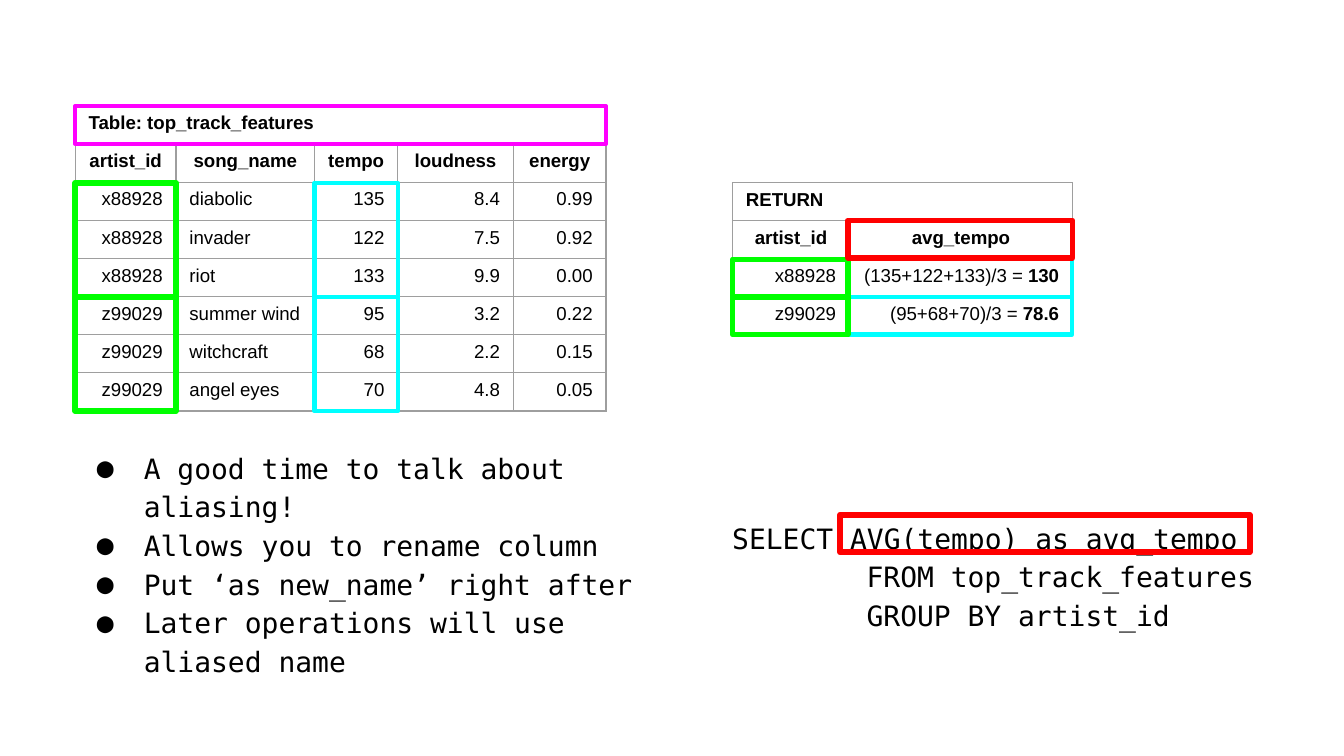
"""Build a slide that shows SQL column aliasing with two tables and a query."""
from dataclasses import dataclass

from lxml.etree import SubElement
from pptx import Presentation
from pptx.dml.color import RGBColor
from pptx.enum.shapes import MSO_SHAPE as SHAPE
from pptx.enum.text import PP_ALIGN as ALIGN
from pptx.oxml.ns import qn
from pptx.util import Inches, Pt

BLACK, WHITE, GREY = "000000", "FFFFFF", "9E9E9E"
CYAN, GREEN, MAGENTA, RED = "00FFFF", "00FF00", "FF00FF", "FF0000"
ALIGNS = {"l": ALIGN.LEFT, "r": ALIGN.RIGHT}
CELL_FONT = {"name": "Arial", "size": Pt(10)}
CODE_FONT = {"name": "DejaVu Sans Mono", "size": Pt(15), "bold": False}


@dataclass
class Grid:
    left: float
    top: float
    height: float
    widths: list[float]
    aligns: str
    title: str
    header: list[str]
    rows: list[list[str]]


@dataclass
class Frame:
    left: float
    top: float
    width: float
    height: float
    color: str
    weight: float = 3


@dataclass
class TextBlock:
    left: float
    top: float
    width: float
    height: float
    inset: float
    lines: list[str]
    bullet: str = ""


def rgb(value: str) -> RGBColor:
    return RGBColor.from_string(value)


def add_run(p, text: str, fmt: dict) -> None:
    r = p.add_run()
    r.text = text
    for name, value in fmt.items():
        setattr(r.font, name, value)
    r.font.color.rgb = rgb(BLACK)


def add_color(parent, color: str) -> None:
    SubElement(parent, qn("a:srgbClr"), val=color)


def style_cell(cell) -> None:
    tc_pr = cell._tc.get_or_add_tcPr()
    for side in "LRTB":
        ln = SubElement(tc_pr, qn(f"a:ln{side}"), w=str(Pt(0.75)))
        add_color(SubElement(ln, qn("a:solidFill")), GREY)
    cell.fill.solid()
    cell.fill.fore_color.rgb = rgb(WHITE)


def write_cell(cell, text: str, align, bold: bool) -> None:
    p = cell.text_frame.paragraphs[0]
    p.alignment = align
    plain, _, strong = text.partition("|")
    add_run(p, plain, CELL_FONT | {"bold": bold})
    if strong:
        add_run(p, strong, CELL_FONT | {"bold": True})


def draw_grid(s, grid: Grid) -> None:
    n_rows, n_cols = len(grid.rows) + 2, len(grid.widths)
    table = s.shapes.add_table(n_rows, n_cols, Inches(grid.left), Inches(grid.top),
                               Inches(sum(grid.widths)), Inches(grid.height)).table
    table.first_row = table.horz_banding = False
    for column, width in zip(table.columns, grid.widths):
        column.width = Inches(width)
    for row in table.rows:
        row.height = Inches(grid.height / n_rows)
    for cell in table.iter_cells():
        style_cell(cell)
    table.cell(0, 0).merge(table.cell(0, n_cols - 1))
    write_cell(table.cell(0, 0), grid.title, ALIGN.LEFT, True)
    for j, name in enumerate(grid.header):
        write_cell(table.cell(1, j), name, ALIGN.CENTER, True)
    for i, values in enumerate(grid.rows, start=2):
        for j, value in enumerate(values):
            write_cell(table.cell(i, j), value, ALIGNS[grid.aligns[j]], False)


def draw_frame(s, frame: Frame) -> None:
    sp = s.shapes.add_shape(SHAPE.RECTANGLE, Inches(frame.left), Inches(frame.top),
                            Inches(frame.width), Inches(frame.height))
    sp.shadow.inherit = False
    sp.fill.background()
    sp.line.color.rgb = rgb(frame.color)
    sp.line.width = Pt(frame.weight)


def add_bullet(p, char: str) -> None:
    p_pr = p._p.get_or_add_pPr()
    p_pr.set("marL", str(Inches(0.5)))
    p_pr.set("indent", str(Inches(-0.35)))
    add_color(SubElement(p_pr, qn("a:buClr")), BLACK)
    SubElement(p_pr, qn("a:buFont"), typeface=CODE_FONT["name"])
    SubElement(p_pr, qn("a:buChar"), char=char)


def add_tab_stop(p, position: float) -> None:
    tabs = SubElement(p._p.get_or_add_pPr(), qn("a:tabLst"))
    SubElement(tabs, qn("a:tab"), pos=str(Inches(position)), algn="l")


def draw_text(s, block: TextBlock) -> None:
    tf = s.shapes.add_textbox(Inches(block.left), Inches(block.top),
                              Inches(block.width), Inches(block.height)).text_frame
    tf.word_wrap = True
    for side in ("left", "right", "top", "bottom"):
        setattr(tf, f"margin_{side}", Inches(block.inset))
    for i, line in enumerate(block.lines):
        p = tf.add_paragraph() if i else tf.paragraphs[0]
        if block.bullet:
            add_bullet(p, block.bullet)
        if line.startswith("\t"):
            add_tab_stop(p, 1)
        p.line_spacing = 1.15
        add_run(p, line, CODE_FONT)


RESULT = Grid(5.45, 1.36, 1.13, [0.87, 1.66], "rr", "RETURN", ["artist_id", "avg_tempo"], [
    ["x88928", "(135+122+133)/3 = |130"],
    ["z99029", "(95+68+70)/3 = |78.6"],
])
TRACKS = Grid(
    0.56, 0.79, 2.27, [0.75, 1.03, 0.62, 0.86, 0.69], "rlrrr", "Table: top_track_features",
    ["artist_id", "song_name", "tempo", "loudness", "energy"], [
        ["x88928", "diabolic", "135", "8.4", "0.99"],
        ["x88928", "invader", "122", "7.5", "0.92"],
        ["x88928", "riot", "133", "9.9", "0.00"],
        ["z99029", "summer wind", "95", "3.2", "0.22"],
        ["z99029", "witchcraft", "68", "2.2", "0.15"],
        ["z99029", "angel eyes", "70", "4.8", "0.05"],
    ])
RESULT_FRAMES = [Frame(left, top, width, 0.28, color, weight)
                 for left, width, color, weight in [(6.31, 1.67, CYAN, 2.25),
                                                    (5.45, 0.86, GREEN, 3)]
                 for top in (1.93, 2.21)]
TRACK_FRAMES = [Frame(0.56, 0.79, 3.95, 0.28, MAGENTA, 2.25)]
TRACK_FRAMES += [Frame(left, top, width, 0.85, color, weight)
                 for left, width, color, weight in [(2.34, 0.62, CYAN, 2.25),
                                                    (0.56, 0.75, GREEN, 3)]
                 for top in (1.36, 2.21)]
ALIAS_FRAMES = [Frame(6.31, 1.64, 1.67, 0.28, RED), Frame(6.25, 3.83, 3.05, 0.28, RED)]
QUERY = TextBlock(5.35, 3.74, 4.2, 0.87, 0.1, [
    "SELECT AVG(tempo) as avg_tempo",
    "\tFROM top_track_features",
    "\tGROUP BY artist_id",
])
NOTES = TextBlock(0.55, 3.3, 4.31, 2.04, 0.02, [
    "A good time to talk about aliasing!",
    "Allows you to rename column",
    "Put ‘as new_name’ right after",
    "Later operations will use aliased name",
], "●")


def main() -> None:
    prs = Presentation()
    prs.slide_width, prs.slide_height = Inches(10), Inches(10 * 9 / 16)
    s = prs.slides.add_slide(prs.slide_layouts[6])
    for grid, frames in [(RESULT, RESULT_FRAMES), (TRACKS, TRACK_FRAMES)]:
        draw_grid(s, grid)
        for frame in frames:
            draw_frame(s, frame)
    for block in (QUERY, NOTES):
        draw_text(s, block)
    for frame in ALIAS_FRAMES:
        draw_frame(s, frame)
    prs.save("out.pptx")


if __name__ == "__main__":
    main()
